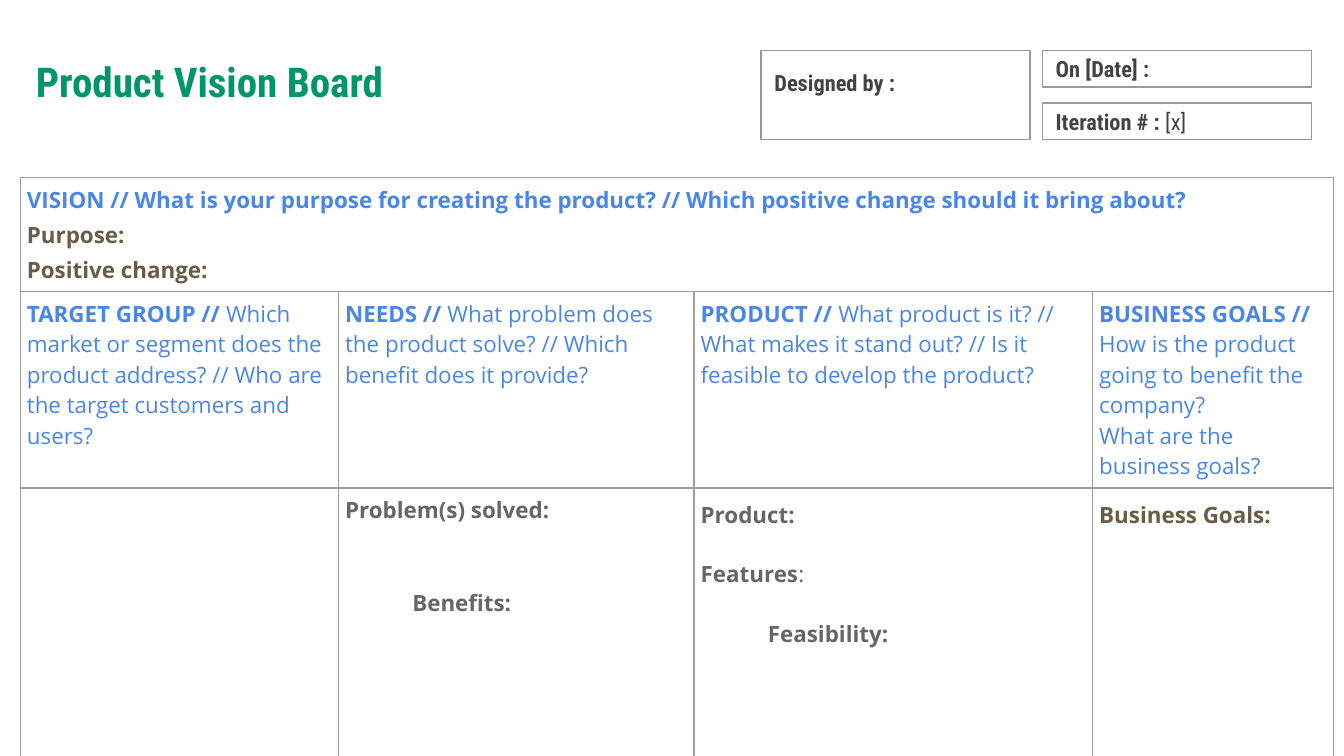
from dataclasses import dataclass

from lxml.etree import SubElement
from pptx import Presentation
from pptx.dml.color import RGBColor
from pptx.enum.shapes import MSO_SHAPE
from pptx.enum.text import MSO_ANCHOR
from pptx.oxml.ns import qn
from pptx.util import Pt


@dataclass(frozen=True)
class Theme:
    heading_font: str = "Roboto Condensed"
    body_font: str = "Open Sans"
    title_size: int = 22
    body_size: int = 12
    green: str = "009668"
    blue: str = "4A86E8"
    brown: str = "695D46"
    gray: str = "666666"
    dark: str = "434343"
    box_line: str = "999999"
    grid_line: str = "9E9E9E"
    line_width: float = 0.75


@dataclass(frozen=True)
class Line:
    """One paragraph: a bold lead, then plain text, with spacing in points."""
    color: str
    lead: str = ""
    plain: str = ""
    spacing: float = 1.0
    before: float = 0
    indent: float = 0


THEME = Theme()
BLUE, BROWN, GRAY = THEME.blue, THEME.brown, THEME.gray
LOOSE = 1.15

TITLE = "Product Vision Board"
# bold label, plain value, left, top, width, height, top inset, anchor
INFO_BOXES = [
    ("Designed by :", "", 407.8, 27.2, 144, 47.5, 10, MSO_ANCHOR.TOP),
    ("On [Date] :", "", 558.5, 27.2, 144, 19.5, 0, MSO_ANCHOR.MIDDLE),
    ("Iteration # : ", "[x]", 558.5, 55.2, 144, 19.5, 0, MSO_ANCHOR.MIDDLE),
]

VISION = [
    Line(BLUE, "VISION // What is your purpose for creating the product? "
               "// Which positive change should it bring about?"),
    Line(BROWN, "Purpose:", spacing=LOOSE),
    Line(BROWN, "Positive change:", spacing=LOOSE),
]
QUESTIONS = [
    [Line(BLUE, "TARGET GROUP // ", "Which market or segment does the product address? "
                                    "// Who are the target customers and users?")],
    [Line(BLUE, "NEEDS // ", "What problem does the product solve? "
                             "// Which benefit does it provide?")],
    [Line(BLUE, "PRODUCT // ", "What product is it? // What makes it stand out? "
                               "// Is it feasible to develop the product?")],
    [Line(BLUE, "BUSINESS GOALS // ", "How is the product going to benefit the company?"),
     Line(BLUE, plain="What are the business goals?")],
]
ANSWERS = [
    [],
    [Line(GRAY, "Problem(s) solved:"),
     Line(GRAY, "Benefits:", spacing=LOOSE, before=31, indent=36)],
    [Line(GRAY, "Product:", spacing=LOOSE),
     Line(GRAY, "Features", ":", before=15.5),
     Line(GRAY, "Feasibility:", spacing=LOOSE, before=13.5, indent=36)],
    [Line(BROWN, "Business Goals:", spacing=LOOSE)],
]
BOARD_ROWS = [[VISION], QUESTIONS, ANSWERS]
BOARD_LEFT, BOARD_TOP = 10.8, 95.2
COLUMN_WIDTHS = [170.5, 190.5, 213.5, 129]
ROW_HEIGHTS = [61, 105, 155]


def color(value):
    return RGBColor.from_string(value)


def write_lines(frame, lines, font_name, size):
    frame.word_wrap = True
    for index, line in enumerate(lines):
        paragraph = frame.paragraphs[0] if index == 0 else frame.add_paragraph()
        if line.indent:
            properties = paragraph._p.get_or_add_pPr()
            properties.set("marL", str(Pt(line.indent)))
            properties.set("indent", "0")
        paragraph.line_spacing = line.spacing
        paragraph.space_before = Pt(line.before)
        font = paragraph.font
        font.name, font.size = font_name, Pt(size)
        font.color.rgb = color(line.color)
        for text, bold in ((line.lead, True), (line.plain, False)):
            if text:
                run = paragraph.add_run()
                run.text, run.font.bold = text, bold


def set_margins(target, horizontal, top, bottom):
    target.margin_left = target.margin_right = Pt(horizontal)
    target.margin_top, target.margin_bottom = Pt(top), Pt(bottom)


def outline_cell(cell):
    properties = cell._tc.get_or_add_tcPr()
    for side in ("a:lnL", "a:lnR", "a:lnT", "a:lnB"):
        border = SubElement(properties, qn(side), w=str(Pt(THEME.line_width)))
        fill = SubElement(border, qn("a:solidFill"))
        SubElement(fill, qn("a:srgbClr"), val=THEME.grid_line)


def add_title(slide):
    box = slide.shapes.add_textbox(Pt(12.2), Pt(23), Pt(313), Pt(55.5))
    set_margins(box.text_frame, 7.2, 7.2, 7.2)
    write_lines(box.text_frame, [Line(THEME.green, TITLE)],
                THEME.heading_font, THEME.title_size)


def add_info_box(slide, label, value, left, top, width, height, inset, anchor):
    shape = slide.shapes.add_shape(MSO_SHAPE.RECTANGLE, Pt(left), Pt(top),
                                   Pt(width), Pt(height))
    shape.shadow.inherit = False
    shape.fill.background()
    shape.line.color.rgb = color(THEME.box_line)
    shape.line.width = Pt(THEME.line_width)
    frame = shape.text_frame
    frame.vertical_anchor = anchor
    set_margins(frame, 7.2, inset, 0)
    write_lines(frame, [Line(THEME.dark, label, value)],
                THEME.heading_font, THEME.body_size)
    frame.paragraphs[0].alignment = 1


def add_board(slide):
    table = slide.shapes.add_table(
        len(ROW_HEIGHTS), len(COLUMN_WIDTHS), Pt(BOARD_LEFT), Pt(BOARD_TOP),
        Pt(sum(COLUMN_WIDTHS)), Pt(sum(ROW_HEIGHTS))).table
    table.first_row = table.horz_banding = False
    for column, width in zip(table.columns, COLUMN_WIDTHS):
        column.width = Pt(width)
    for row, height in zip(table.rows, ROW_HEIGHTS):
        row.height = Pt(height)
    table.cell(0, 0).merge(table.cell(0, len(COLUMN_WIDTHS) - 1))

    for cell in table.iter_cells():
        set_margins(cell, 3.6, 3.6, 3.6)
        outline_cell(cell)
        cell.fill.background()
    for row_index, row in enumerate(BOARD_ROWS):
        for column_index, lines in enumerate(row):
            write_lines(table.cell(row_index, column_index).text_frame, lines,
                        THEME.body_font, THEME.body_size)


def main():
    presentation = Presentation()
    presentation.slide_width, presentation.slide_height = Pt(720), Pt(405)
    slide = presentation.slides.add_slide(presentation.slide_layouts[6])
    add_board(slide)
    add_title(slide)
    for info_box in INFO_BOXES:
        add_info_box(slide, *info_box)
    presentation.save("out.pptx")


if __name__ == "__main__":
    main()
